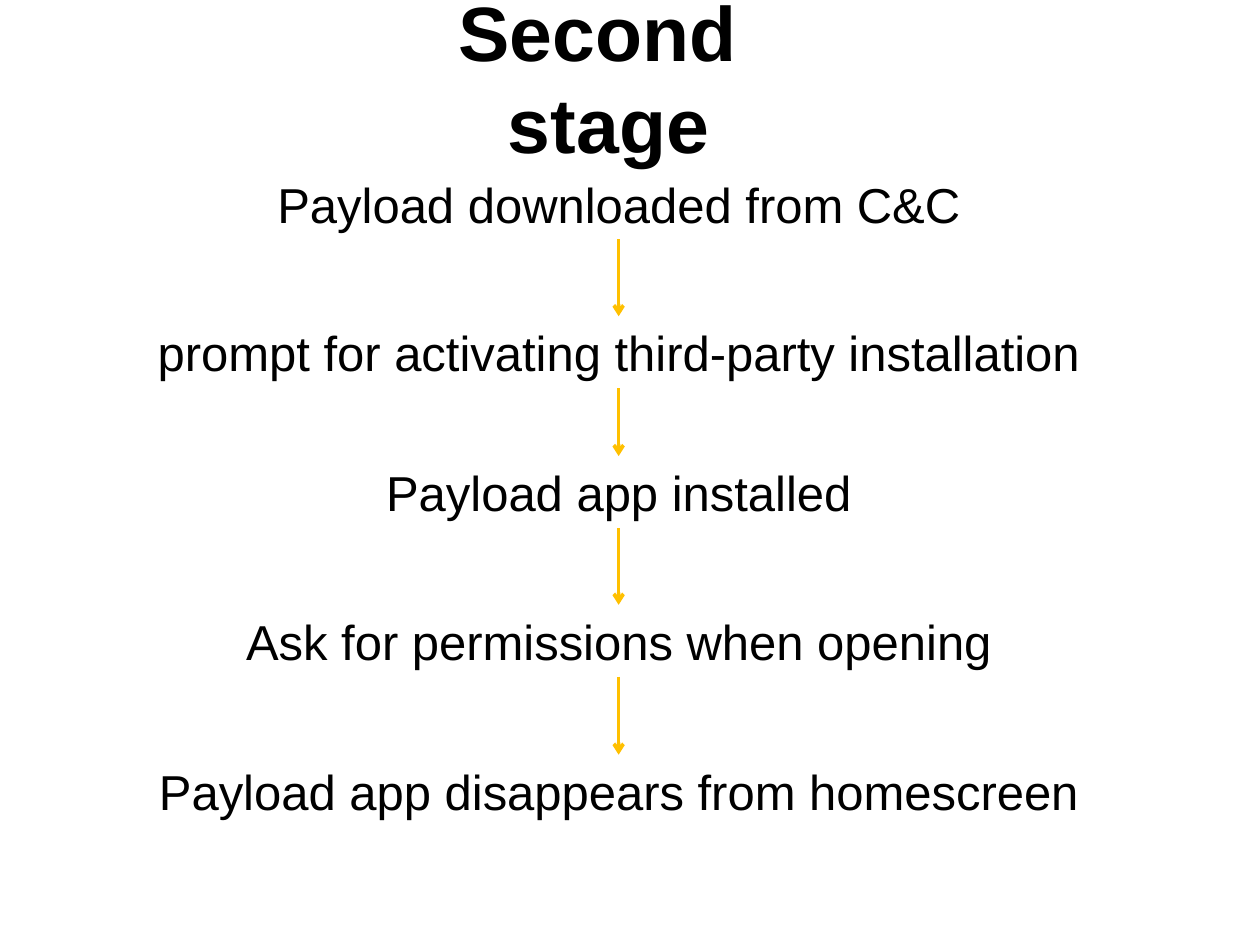
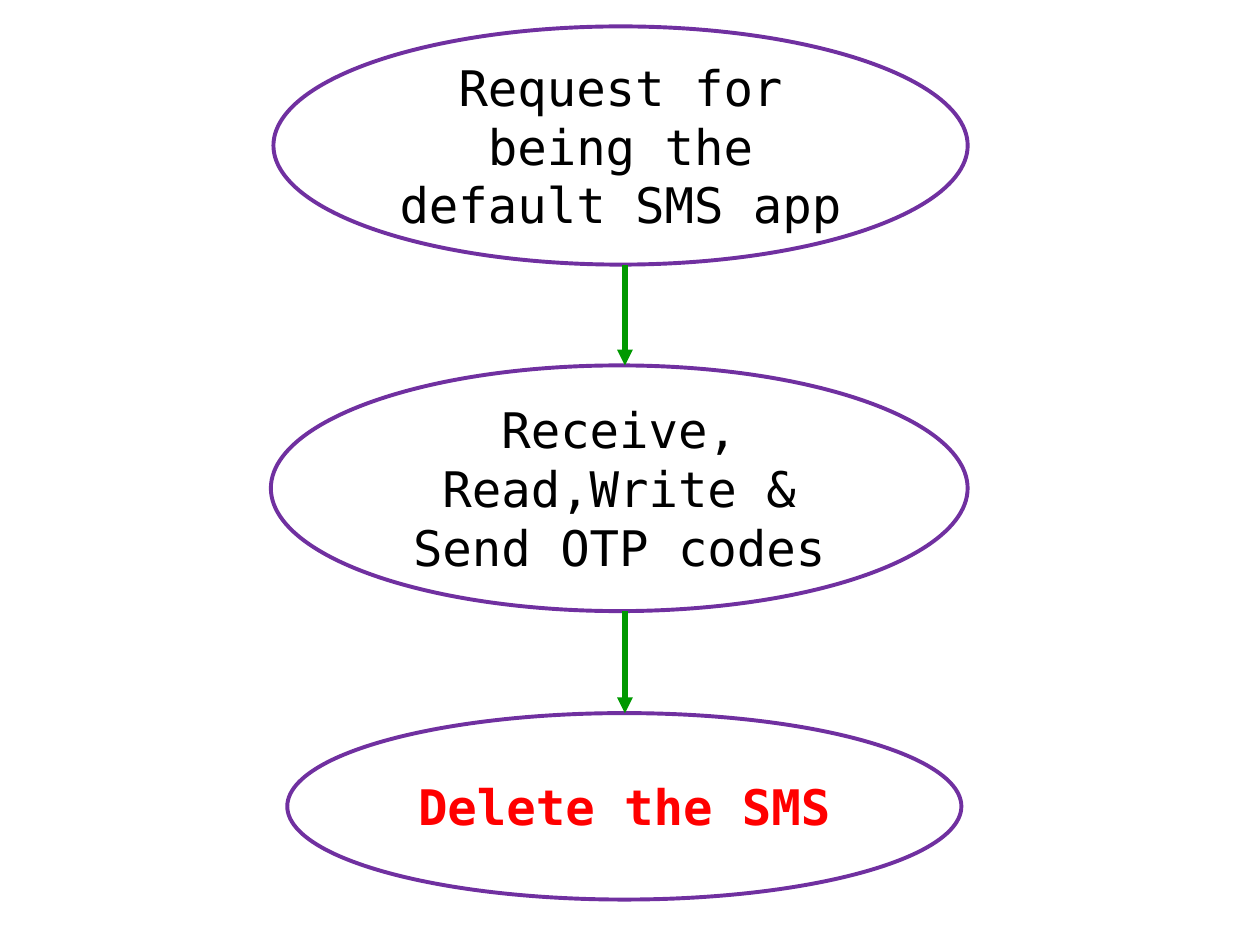
from dataclasses import dataclass
from itertools import pairwise

from lxml.etree import SubElement
from pptx import Presentation
from pptx.dml.color import RGBColor
from pptx.enum.shapes import MSO_CONNECTOR, MSO_SHAPE
from pptx.enum.text import MSO_ANCHOR, MSO_AUTO_SIZE, PP_ALIGN
from pptx.oxml.ns import qn
from pptx.util import Inches, Pt


@dataclass(frozen=True)
class Theme:
    text: str = "000000"
    alert: str = "FF0000"
    outline: str = "7030A0"
    stage_arrow: str = "FFC000"
    sms_arrow: str = "009900"
    sans: str = "Arial"
    mono: str = "DejaVu Sans Mono"
    title_size: int = 44
    body_size: int = 28


def write(tf, text, *, size, font, color, bold=False, anchor=MSO_ANCHOR.MIDDLE):
    """Put one centred, formatted paragraph into a text frame."""
    tf.vertical_anchor = anchor
    p = tf.paragraphs[0]
    p.alignment = PP_ALIGN.CENTER
    r = p.add_run()
    r.text = text
    r.font.size = Pt(size)
    r.font.name = font
    r.font.bold = bold
    r.font.color.rgb = RGBColor.from_string(color)


class Deck:
    def __init__(self, theme):
        self.theme = theme
        self.prs = Presentation()
        self.prs.slide_width, self.prs.slide_height = Inches(10), Inches(7.5)
        self.s = None

    def new_slide(self):
        self.s = self.prs.slides.add_slide(self.prs.slide_layouts[6])

    def label(self, text, center, top, width, height, **fmt):
        """One-line text box centred on a vertical axis."""
        sp = self.s.shapes.add_textbox(Inches(center - width / 2), Inches(top),
                                       Inches(width), Inches(height))
        tf = sp.text_frame
        tf.word_wrap = False
        tf.auto_size = MSO_AUTO_SIZE.SHAPE_TO_FIT_TEXT
        write(tf, text, **{"size": self.theme.body_size, "font": self.theme.sans,
                           "color": self.theme.text, **fmt})
        return sp

    def title(self, text, center):
        self.label(text, center, 0.19, 4.34, 0.84,
                   size=self.theme.title_size, bold=True)

    def ellipse(self, text, left, top, width, height, **fmt):
        sp = self.s.shapes.add_shape(MSO_SHAPE.OVAL, Inches(left), Inches(top),
                                     Inches(width), Inches(height))
        sp.shadow.inherit = False
        sp.fill.background()
        sp.line.color.rgb = RGBColor.from_string(self.theme.outline)
        sp.line.width = Pt(2.25)
        sp.text_frame.word_wrap = True
        write(sp.text_frame, text, **{"size": self.theme.body_size, "font": self.theme.mono,
                                      "color": self.theme.text, **fmt})

    def down_arrow(self, x, top, bottom, color, width, head):
        cxn = self.s.shapes.add_connector(MSO_CONNECTOR.STRAIGHT, Inches(x), Inches(top),
                                          Inches(x), Inches(bottom))
        cxn.line.color.rgb = RGBColor.from_string(color)
        cxn.line.width = Pt(width)
        SubElement(cxn.line._get_or_add_ln(), qn("a:tailEnd"), type=head)
        SubElement(cxn._element.spPr, qn("a:effectLst"))
        return cxn


def second_stage(deck):
    deck.new_slide()
    axis = 4.91
    deck.title("Second  stage", 4.83)

    # Steps: text, top, width, height
    steps = [
        ("Payload downloaded from C&C", 1.2, 5.62, 0.7),
        ("prompt for activating third-party installation", 2.51, 7.52, 0.57),
        ("Payload app installed", 3.62, 3.89, 0.57),
        ("Ask for permissions when opening", 4.8, 6.12, 0.57),
        ("Payload app disappears from homescreen", 5.99, 7.6, 0.57),
    ]
    boxes = [deck.label(text, axis, *place, anchor=MSO_ANCHOR.BOTTOM)
             for text, *place in steps]

    # Arrows from each step to the next
    for (upper, lower), (a, b) in zip(pairwise(steps), pairwise(boxes)):
        cxn = deck.down_arrow(axis, upper[1] + upper[3], lower[1],
                              deck.theme.stage_arrow, 2, "arrow")
        cxn.begin_connect(a, 2)
        cxn.end_connect(b, 0)


def sms_flow(deck):
    deck.new_slide()

    # Ellipses: text, colour, bold, left, top, width, height
    black, red = deck.theme.text, deck.theme.alert
    steps = [
        ("Request for being the default SMS app", black, False, 2.17, 0.21, 5.51, 1.89),
        ("Receive, Read,Write & Send OTP codes", black, False, 2.15, 2.9, 5.53, 1.95),
        ("Delete the SMS", red, True, 2.28, 5.66, 5.35, 1.48),
    ]
    for text, color, bold, *place in steps:
        deck.ellipse(text, *place, color=color, bold=bold)

    # Vertical arrows across the gaps
    for upper, lower in pairwise(steps):
        deck.down_arrow(4.96, upper[4] + upper[6], lower[4],
                        deck.theme.sms_arrow, 3, "triangle")


def main():
    deck = Deck(Theme())
    second_stage(deck)
    sms_flow(deck)
    deck.prs.save("out.pptx")


if __name__ == "__main__":
    main()
